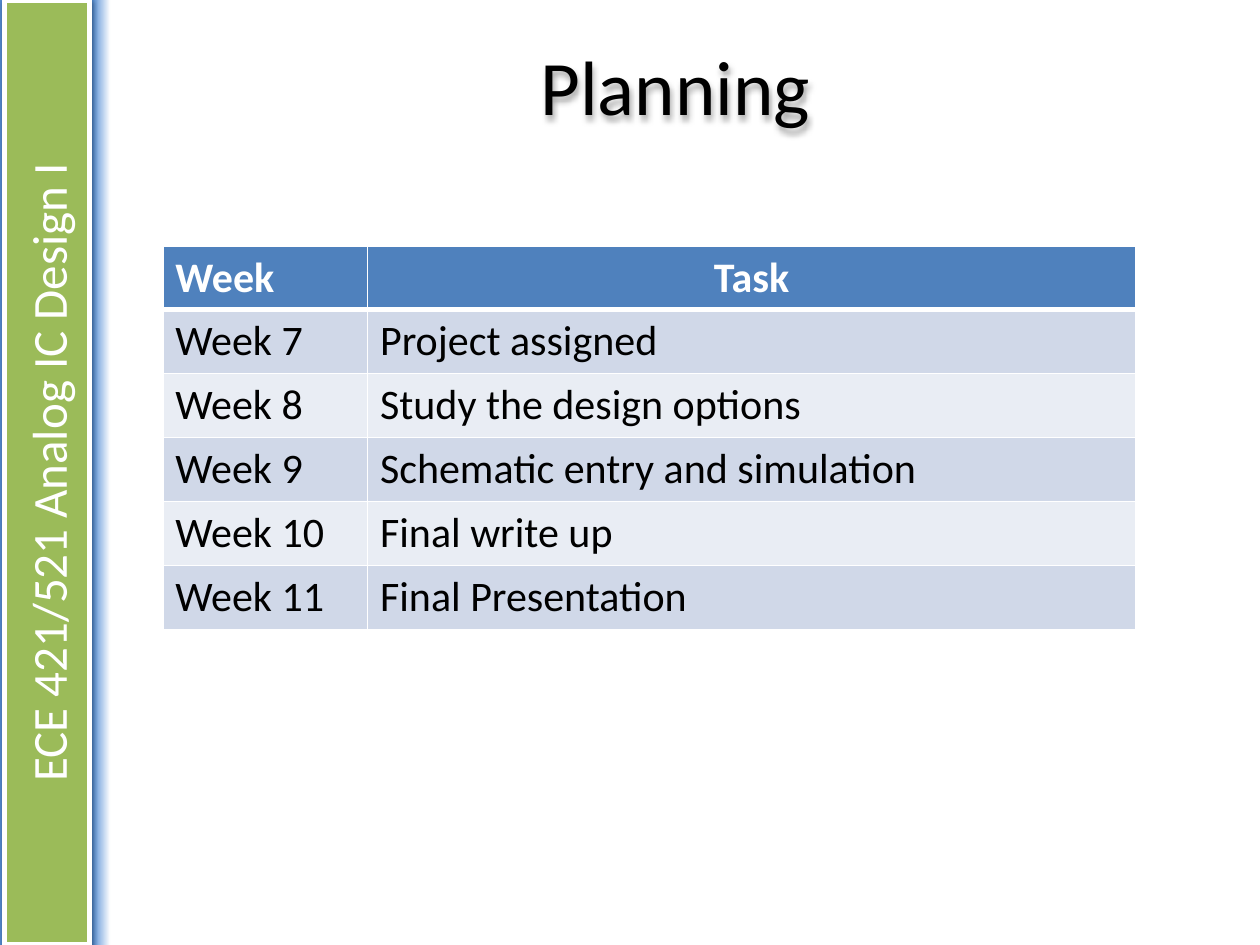
"""Build the project planning slide with a course banner and a task table."""
from lxml import etree
from pptx import Presentation
from pptx.dml.color import RGBColor
from pptx.enum.shapes import MSO_SHAPE
from pptx.enum.text import MSO_ANCHOR, PP_ALIGN
from pptx.oxml import parse_xml
from pptx.oxml.ns import nsdecls, qn
from pptx.util import Pt

RECT = MSO_SHAPE.RECTANGLE
CENTER, LEFT = PP_ALIGN.CENTER, PP_ALIGN.LEFT
MIDDLE = MSO_ANCHOR.MIDDLE
WHITE = RGBColor(0xFF, 0xFF, 0xFF)
BLACK = RGBColor(0, 0, 0)
GREEN = RGBColor(0x9B, 0xBB, 0x59)
BLUE = RGBColor(0x4F, 0x81, 0xBD)
GLOW = RGBColor(0x55, 0x8E, 0xD5)
BANDS = [RGBColor(0xD0, 0xD8, 0xE8), RGBColor(0xE9, 0xED, 0xF4)]


def write(frame, text, size, color, align, bold=False):
    para = frame.paragraphs[0]
    para.alignment = align
    run = para.add_run()
    run.text = text
    run.font.name = "Calibri"
    run.font.size = Pt(size)
    run.font.bold = bold
    run.font.color.rgb = color


def shade(shape, dist, alpha):
    shape.shadow.inherit = False
    effects = shape._element.spPr.find(qn("a:effectLst"))
    effects.append(parse_xml(
        f'<a:outerShdw {nsdecls("a")} blurRad="{Pt(3.1)}" dist="{Pt(dist)}" '
        f'dir="5400000" rotWithShape="0"><a:srgbClr val="000000">'
        f'<a:alpha val="{alpha * 1000}"/></a:srgbClr></a:outerShdw>'))


deck = Presentation()
deck.slide_width, deck.slide_height = Pt(720), Pt(540)
slide = deck.slides.add_slide(deck.slide_layouts[5])

edge = slide.shapes.add_shape(RECT, Pt(0), Pt(0), Pt(63), Pt(540))
edge.shadow.inherit = False
edge.line.fill.background()
edge.fill.gradient()
edge.fill.gradient_angle = 0
for stop, color, place in zip(edge.fill.gradient_stops, (GLOW, WHITE), (0.84, 1)):
    stop.color.rgb = color
    stop.position = place

bar = slide.shapes.add_shape(RECT, Pt(2.75), Pt(0), Pt(48.5), Pt(540))
bar.fill.solid()
bar.fill.fore_color.rgb = GREEN
bar.line.color.rgb = WHITE
bar.line.width = Pt(3)
shade(bar, 1.6, 38)
bar.text_frame.vertical_anchor = MIDDLE
bar.text_frame._txBody.bodyPr.set("vert", "vert270")
write(bar.text_frame, "ECE 421/521 Analog IC Design I", 28, WHITE, CENTER)

title = slide.shapes.title
title.left, title.top, title.width, title.height = Pt(65.5), Pt(3.6), Pt(641), Pt(90)
title.fill.background()
title.line.fill.background()
shade(title, 1.8, 35)
title.text_frame.vertical_anchor = MIDDLE
write(title.text_frame, "Planning", 44, BLACK, CENTER)

rows = [
    ("Week", "Task"),
    ("Week 7", "Project assigned"),
    ("Week 8", "Study the design options"),
    ("Week 9", "Schematic entry and simulation"),
    ("Week 10", "Final write up"),
    ("Week 11", "Final Presentation"),
]
high = 36.5
table = slide.shapes.add_table(
    len(rows), 2, Pt(93), Pt(140.5), Pt(556), Pt(high * len(rows))).table
for col, width in zip(table.columns, (117, 439)):
    col.width = Pt(width)
for r, row in enumerate(rows):
    table.rows[r].height = Pt(high)
    head = r == 0
    for c, text in enumerate(row):
        cell = table.cell(r, c)
        props = cell._tc.get_or_add_tcPr()
        for side in "LRTB":
            thick = 3 if (head and side == "B") or (r == 1 and side == "T") else 1
            line = etree.SubElement(props, qn(f"a:ln{side}"), w=str(Pt(thick)))
            fill = etree.SubElement(line, qn("a:solidFill"))
            etree.SubElement(fill, qn("a:srgbClr"), val=str(WHITE))
        cell.fill.solid()
        cell.fill.fore_color.rgb = BLUE if head else BANDS[(r - 1) % 2]
        write(cell.text_frame, text, 24, WHITE if head else BLACK,
              CENTER if head and c else LEFT, head)

deck.save("out.pptx")
